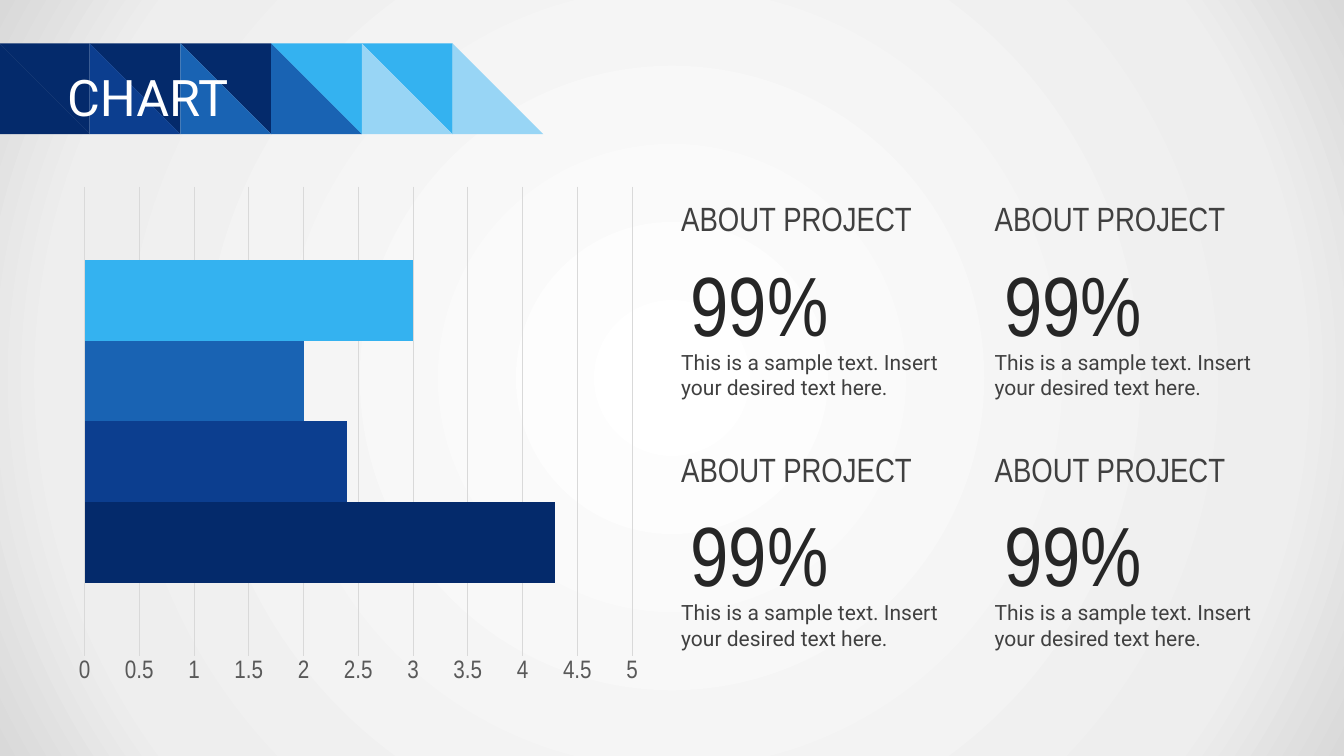
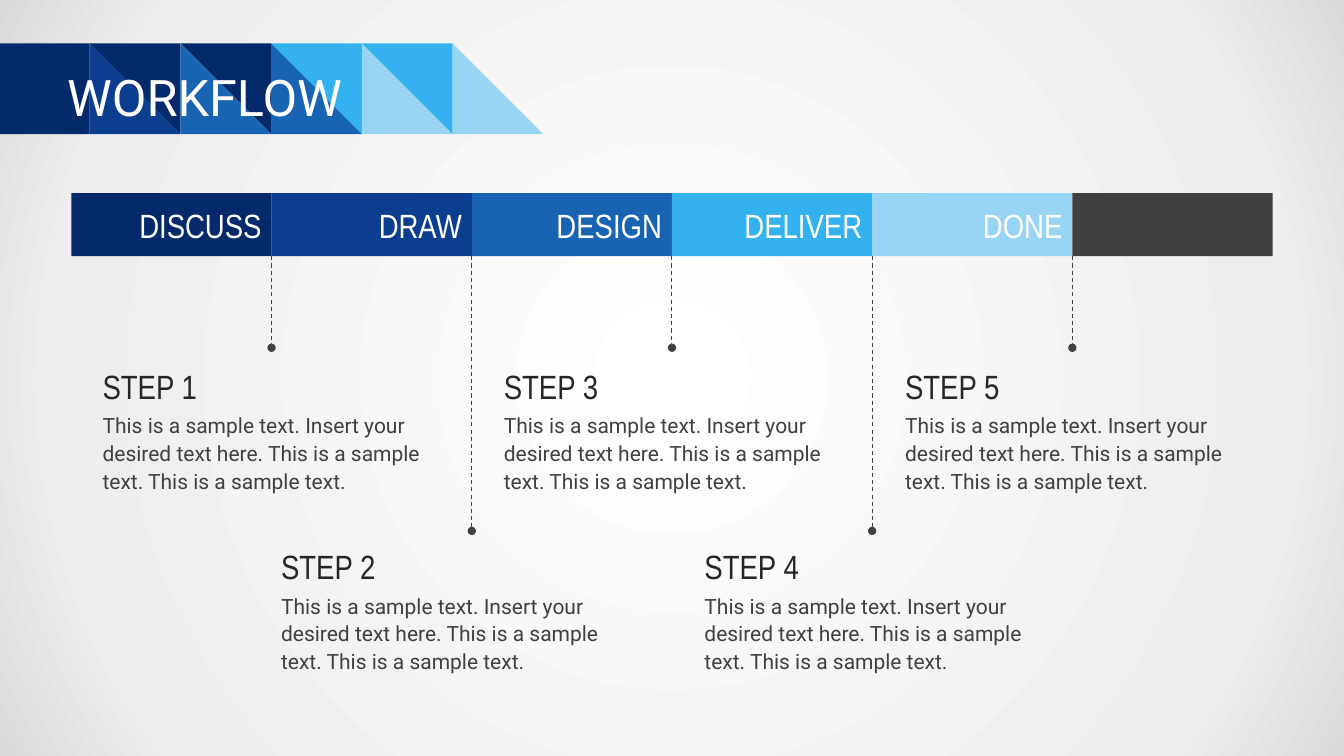
import pptx
import pptx.chart.data
import pptx.dml.color
import pptx.enum.chart
import pptx.enum.dml
import pptx.enum.shapes
import pptx.enum.text
import pptx.oxml
import pptx.oxml.ns
import pptx.util

Pt = pptx.util.Pt
RGBColor = pptx.dml.color.RGBColor
ALIGN = pptx.enum.text.PP_ALIGN
MIDDLE = pptx.enum.text.MSO_ANCHOR.MIDDLE

NAVY = RGBColor(0x04, 0x2A, 0x6B)
BLUE = RGBColor(0x0C, 0x3E, 0x8F)
MID = RGBColor(0x19, 0x63, 0xB3)
SKY = RGBColor(0x34, 0xB2, 0xF0)
PALE = RGBColor(0x98, 0xD5, 0xF5)
WHITE = RGBColor(0xFF, 0xFF, 0xFF)
MIST = RGBColor(0xEE, 0xEE, 0xEE)
SILVER = RGBColor(0xD9, 0xD9, 0xD9)
GRAY = RGBColor(0x59, 0x59, 0x59)
SLATE = RGBColor(0x40, 0x40, 0x40)
COAL = RGBColor(0x3F, 0x3F, 0x3F)
INK = RGBColor(0x26, 0x26, 0x26)

HEAD = "Arial Narrow"
BODY = "Roboto"
SAMPLE = "This is a sample text. "
PROMPT = SAMPLE + "Insert your desired text here."


def write(frame, text, size, font, color, align=ALIGN.LEFT, space=None):
    frame.word_wrap = True
    para = frame.paragraphs[0]
    para.alignment = align
    if space:
        para.line_spacing = space
    run = para.add_run()
    run.text = text
    run.font.size = Pt(size)
    run.font.name = font
    run.font.color.rgb = color


def label(slide, box, *args, **style):
    frame = slide.shapes.add_textbox(*map(Pt, box)).text_frame
    frame.auto_size = pptx.enum.text.MSO_AUTO_SIZE.SHAPE_TO_FIT_TEXT
    write(frame, *args, **style)


def paint(shape, color):
    shape.shadow.inherit = False
    shape.fill.solid()
    shape.fill.fore_color.rgb = color
    shape.line.fill.background()


def backdrop(layout):
    stops = "".join(
        f'<a:gs pos="{pos}"><a:srgbClr val="{color}"/></a:gs>'
        for pos, color in ((0, WHITE), (81000, MIST), (100000, SILVER))
    )
    layout.element.cSld.insert(0, pptx.oxml.parse_xml(
        f'<p:bg {pptx.oxml.ns.nsdecls("p", "a")}><p:bgPr>'
        f'<a:gradFill rotWithShape="1"><a:gsLst>{stops}</a:gsLst>'
        '<a:path path="circle"><a:fillToRect l="50000" t="50000" r="50000" b="50000"/></a:path>'
        '</a:gradFill><a:effectLst/></p:bgPr></p:bg>'
    ))


def band(slide, left, top, side):
    group = slide.shapes.add_group_shape()
    upper = (NAVY, NAVY, NAVY, SKY, SKY)
    lower = (NAVY, BLUE, MID, MID, PALE, PALE)
    for colors, bend in ((upper, (side, 0)), (lower, (0, side))):
        for col, color in enumerate(colors):
            x = left + col * side
            pen = group.shapes.build_freeform(Pt(x), Pt(top))
            pen.add_line_segments([
                (Pt(x + bend[0]), Pt(top + bend[1])),
                (Pt(x + side), Pt(top + side)),
            ])
            paint(pen.convert_to_shape(), color)
    return group


def setup(layout):
    for holder in list(layout.placeholders):
        if holder.placeholder_format.idx:
            holder.element.getparent().remove(holder.element)
    title = layout.placeholders[0]
    title.left, title.top, title.width, title.height = map(Pt, (48, 40.5, 864, 56))
    backdrop(layout)


def begin(deck, layout, text):
    slide = deck.slides.add_slide(layout)
    frame = slide.shapes.title.text_frame
    frame.margin_left = frame.margin_right = 0
    frame.margin_top = frame.margin_bottom = Pt(5)
    frame.vertical_anchor = MIDDLE
    write(frame, text, 36, BODY, WHITE)
    return slide


def bars(slide, box):
    data = pptx.chart.data.CategoryChartData()
    data.categories = ["1"]
    for num, value in enumerate((4.3, 2.4, 2, 3), 1):
        data.add_series(f"Series {num}", [value])
    kind = pptx.enum.chart.XL_CHART_TYPE.BAR_CLUSTERED
    chart = slide.shapes.add_chart(kind, *map(Pt, box), data).chart
    chart.has_legend = False
    chart.has_title = False
    chart.font.name = HEAD
    chart.font.size = Pt(10)
    plot = chart.plots[0]
    plot.gap_width = 182
    plot.overlap = 0
    plot.vary_by_categories = False
    for series, color in zip(plot.series, (NAVY, BLUE, MID, SKY)):
        series.format.fill.solid()
        series.format.fill.fore_color.rgb = color
    chart.category_axis.visible = False
    axis = chart.value_axis
    axis.minimum_scale, axis.maximum_scale, axis.major_unit = 0, 5, 0.5
    axis.major_tick_mark = pptx.enum.chart.XL_TICK_MARK.NONE
    axis.format.line.fill.background()
    grid = axis.major_gridlines.format.line
    grid.color.rgb = SILVER
    grid.width = Pt(0.75)
    font = axis.tick_labels.font
    font.size = Pt(18)
    font.name = HEAD
    font.color.rgb = GRAY


def fact(slide, left, top):
    label(slide, (left, top, 204, 36), "ABOUT PROJECT", 24, HEAD, SLATE)
    label(slide, (left, top + 38.3, 126, 80), "99%", 60, HEAD, INK, align=ALIGN.CENTER)
    label(slide, (left, top + 108, 204, 44), PROMPT, 15, BODY, SLATE)


def strip(slide, left, top, width, height):
    group = slide.shapes.add_group_shape()
    cells = (("DISCUSS", NAVY), ("DRAW", BLUE), ("DESIGN", MID),
             ("DELIVER", SKY), ("DONE", PALE), ("", COAL))
    for col, (text, color) in enumerate(cells):
        cell = group.shapes.add_shape(
            pptx.enum.shapes.MSO_SHAPE.RECTANGLE,
            Pt(left + col * width), Pt(top), Pt(width), Pt(height))
        paint(cell, color)
        if text:
            cell.text_frame.vertical_anchor = MIDDLE
            write(cell.text_frame, text, 24, HEAD, WHITE, align=ALIGN.RIGHT)


def drop(slide, x, top, end):
    link = slide.shapes.add_connector(
        pptx.enum.shapes.MSO_CONNECTOR.STRAIGHT, Pt(x), Pt(top), Pt(x), Pt(end))
    link.line.color.rgb = SLATE
    link.line.width = Pt(0.75)
    link.line.dash_style = pptx.enum.dml.MSO_LINE.DASH
    space = pptx.oxml.ns.nsdecls("a")
    link.line._get_or_add_ln().append(
        pptx.oxml.parse_xml(f'<a:tailEnd {space} type="oval"/>'))
    link.element.spPr.append(pptx.oxml.parse_xml(f"<a:effectLst {space}/>"))


def step(slide, num, left, top):
    label(slide, (left, top, 256, 36), f"STEP {num}", 24, HEAD, INK)
    label(slide, (left, top + 31.7, 256, 67), f"{PROMPT} {SAMPLE}{SAMPLE}".strip(),
          15, BODY, SLATE, space=1.1)


def report(deck, layout):
    slide = begin(deck, layout, "CHART")
    bars(slide, (48, 126, 416, 369.5))
    for left in (479.5, 703.4):
        for top in (138.2, 317):
            fact(slide, left, top)
    return slide


def workflow(deck, layout):
    slide = begin(deck, layout, "WORKFLOW")
    left, top, width, height = 51, 138, 143, 45
    strip(slide, left, top, width, height)
    for num, x in enumerate((66.2, 193.7, 352.8, 496.1, 639.4), 1):
        end = 248.4 if num % 2 else 379.2
        drop(slide, left + num * width, top + height, end)
        step(slide, num, x, 257.8 if num % 2 else 386.6)


def main():
    deck = pptx.Presentation()
    deck.slide_width, deck.slide_height = Pt(960), Pt(540)
    layout = deck.slide_layouts[5]
    setup(layout)
    first = report(deck, layout)
    group = band(first, -0.7, 31, 64.8)
    layout.shapes.element.insert(2, group.element)
    workflow(deck, layout)
    deck.save("out.pptx")


if __name__ == "__main__":
    main()
